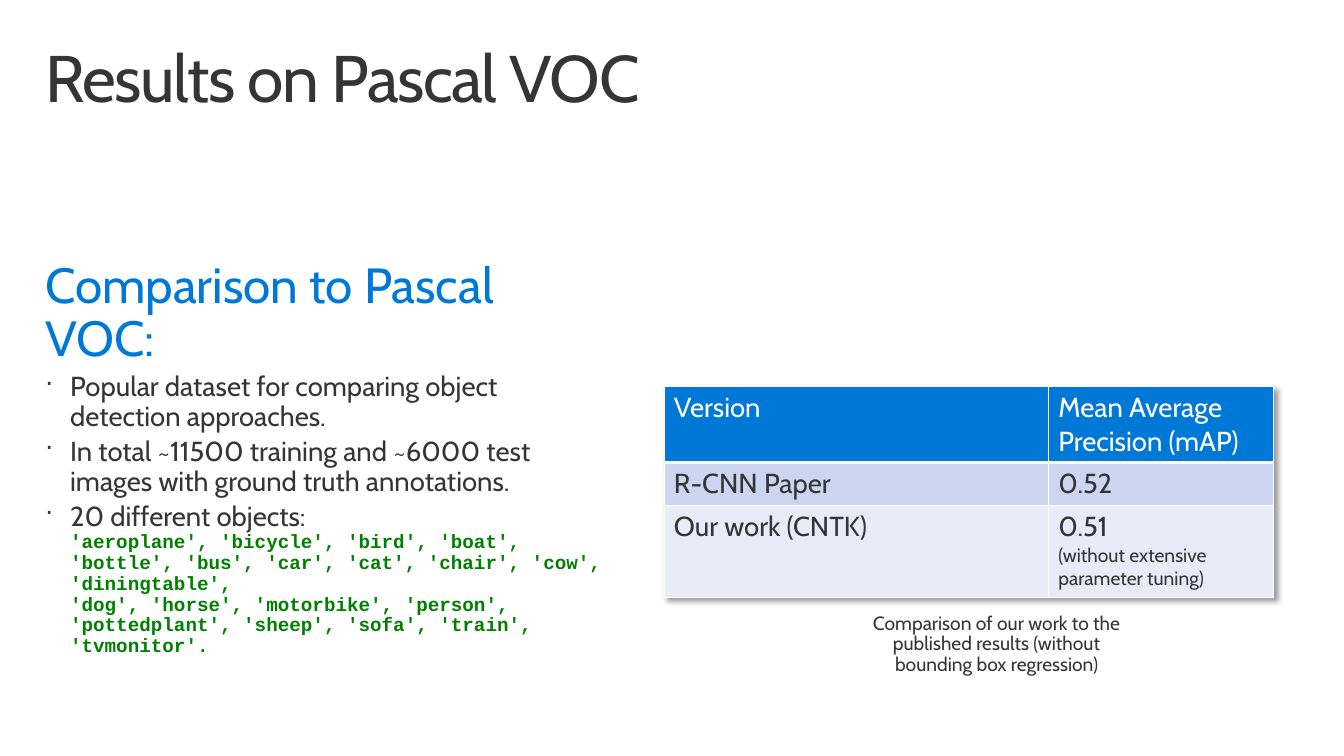
"""Build the slide that compares results on Pascal VOC."""
from copy import deepcopy
from typing import NamedTuple

from lxml.etree import SubElement as Sub
from pptx import Presentation
from pptx.dml.color import RGBColor
from pptx.enum.text import MSO_ANCHOR as Anchor, PP_ALIGN as Align
from pptx.oxml import parse_xml
from pptx.oxml.ns import nsdecls, qn
from pptx.util import Inches, Pt

DARK, BLUE, WHITE, GREEN = "353535", "0078D7", "FFFFFF", "008000"


class Box(NamedTuple):
    left: float
    top: float
    width: float
    height: float
    inset: float = 0.1
    anchor: Anchor = Anchor.TOP


class Row(NamedTuple):
    height: float
    fill: str
    ink: str
    label: str
    score: str
    note: str = ""


TITLE = Box(0.3, 0.32, 13, 1, 0.16, Anchor.MIDDLE)
BODY = Box(0.3, 2.59, 6, 4.5, 0.16)
NOTE = Box(8.56, 6.16, 3.05, 1.17)
GRID = Box(6.72, 3.91, 6.17, 2.13)
COLS = (3.89, 2.28)
ROWS = (
    Row(0.77, BLUE, WHITE, "Version", "Mean Average Precision (mAP)"),
    Row(0.43, "CCD6F0", DARK, "R-CNN Paper", "0.52"),
    Row(0.93, "E7ECF8", DARK, "Our work (CNTK)", "0.51\n",
        "(without extensive parameter tuning)"),
)
FACTS = (
    "Popular dataset for comparing object detection approaches.",
    "In total ~11500 training and ~6000 test images with ground truth annotations.",
    "20 different objects:\n",
)
NAMES = (
    "'aeroplane', 'bicycle', 'bird', 'boat', 'bottle', 'bus', 'car', 'cat', "
    "'chair', 'cow', 'diningtable',\n'dog', 'horse', 'motorbike', 'person', "
    "'pottedplant', 'sheep', 'sofa', 'train', 'tvmonitor'."
)


def rgb(code: str) -> RGBColor:
    return RGBColor.from_string(code)


def write(para, text: str, size: float = 20, color: str = DARK,
          font: str = "Cabin", bold: bool = False, track: int = 0) -> None:
    for part in text.splitlines(keepends=True):
        run = para.add_run()
        run.text = part.rstrip("\n")
        run.font.size, run.font.name, run.font.bold = Pt(size), font, bold
        run.font.color.rgb = rgb(color)
        props = run.font._element
        if track:
            props.set("spc", str(track))
        if part.endswith("\n"):
            para.add_line_break()
            para._p[-1].append(deepcopy(props))


def frame(slide, box: Box):
    shape = slide.shapes.add_textbox(
        Inches(box.left), Inches(box.top), Inches(box.width), Inches(box.height))
    area = shape.text_frame
    area.word_wrap = True
    area.vertical_anchor = box.anchor
    area.margin_left = area.margin_right = Inches(box.inset)
    para = area.paragraphs[0]
    para.line_spacing = 0.9
    return area, para


def bullet(area):
    para = area.add_paragraph()
    props = para._p.get_or_add_pPr()
    props.set("marL", str(Inches(0.25)))
    props.set("indent", str(Inches(-0.25)))
    Sub(props, qn("a:buSzPct"), val="90000")
    Sub(props, qn("a:buChar"), char="·")
    para.line_spacing = 0.9
    para.space_before = Pt(4)
    return para


def edge(cell, head: bool) -> None:
    props = cell._tc.get_or_add_tcPr()
    for side in "LRTB":
        width = 3 if head and side == "B" else 1
        line = Sub(props, qn(f"a:ln{side}"), w=str(Pt(width)))
        Sub(Sub(line, qn("a:solidFill")), qn("a:srgbClr"), val=WHITE)


def chart(slide) -> None:
    table = slide.shapes.add_table(
        len(ROWS), len(COLS), Inches(GRID.left), Inches(GRID.top),
        Inches(GRID.width), Inches(GRID.height)).table
    table.first_row = table.horz_banding = False
    table._tbl.tblPr.insert(0, parse_xml(
        f'<a:effectLst {nsdecls("a")}><a:outerShdw blurRad="50800" dist="38100" '
        'dir="2700000" algn="tl" rotWithShape="0"><a:srgbClr val="000000">'
        '<a:alpha val="40000"/></a:srgbClr></a:outerShdw></a:effectLst>'))
    for col, width in zip(table.columns, COLS):
        col.width = Inches(width)
    for num, row in enumerate(ROWS):
        table.rows[num].height = Inches(row.height)
        for cell, text in zip(table.rows[num].cells, (row.label, row.score)):
            edge(cell, num == 0)
            cell.fill.solid()
            cell.fill.fore_color.rgb = rgb(row.fill)
            write(cell.text_frame.paragraphs[0], text, color=row.ink)
        if row.note:
            write(table.cell(num, 1).text_frame.paragraphs[0], row.note, size=14)


def main() -> None:
    deck = Presentation()
    deck.slide_width, deck.slide_height = Inches(13.6), Inches(7.65)
    slide = deck.slides.add_slide(deck.slide_layouts[6])
    _, para = frame(slide, TITLE)
    write(para, "Results on Pascal VOC", size=48, track=-100)
    chart(slide)
    area, para = frame(slide, BODY)
    write(para, "Comparison to Pascal VOC:", size=36, color=BLUE)
    for fact in FACTS:
        para = bullet(area)
        write(para, fact)
    write(para, NAMES, size=14, color=GREEN, font="Courier New", bold=True)
    _, para = frame(slide, NOTE)
    para.alignment = Align.CENTER
    write(para, "Comparison of our work to the published results "
          "(without bounding box regression)", size=14)
    deck.save("out.pptx")


if __name__ == "__main__":
    main()
